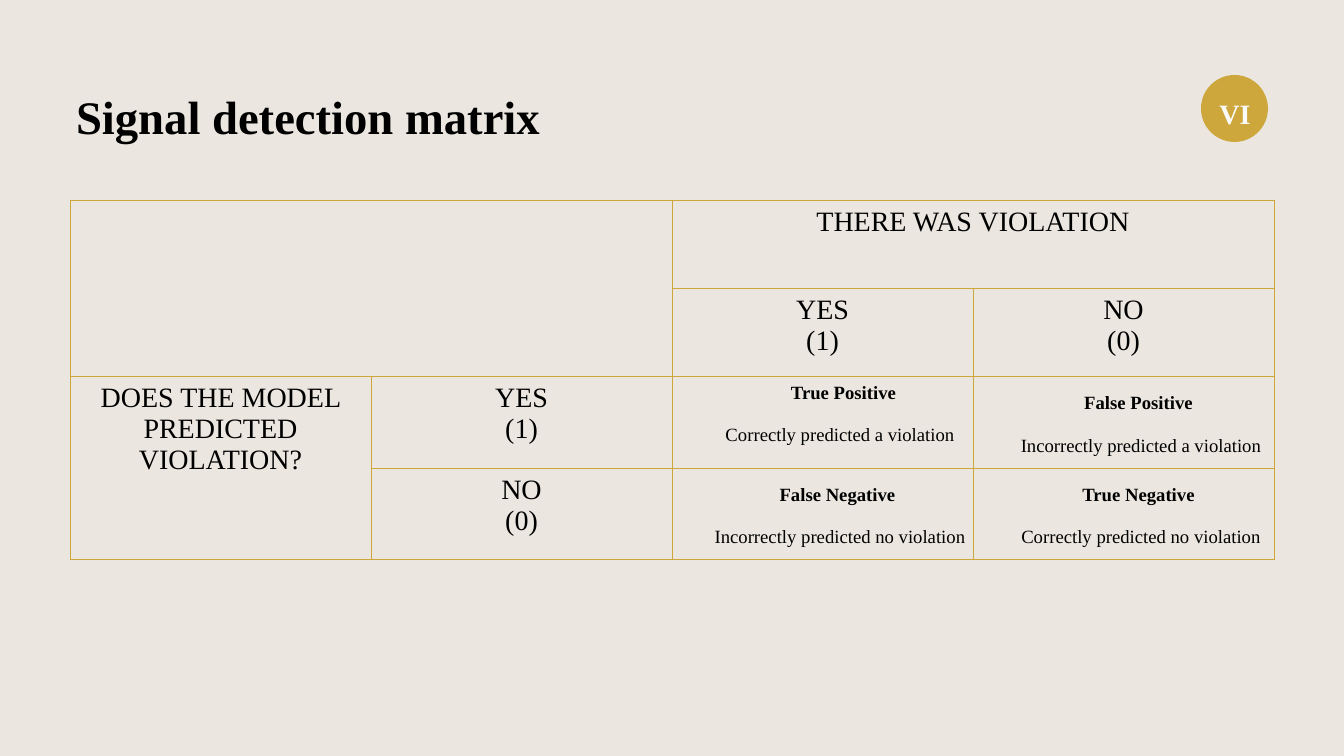
import pptx
import pptx.dml.color
import pptx.enum.shapes
import pptx.enum.text
import pptx.oxml
import pptx.oxml.ns
import pptx.util

PX = 914400 / 67.2
FONT = "Times New Roman"
COLORS = {"paper": "EBE7E0", "gold": "CDA63C", "ink": "000000", "light": "FAFAFA"}
CENTER = pptx.enum.text.PP_ALIGN.CENTER
LEFT = pptx.enum.text.PP_ALIGN.LEFT

COL_W, ROW_H = 301, 88
INDENT = 35
YES, NO = ["YES", "(1)"], ["NO", "(0)"]

# Merged blocks: first and last (row, column)
SPANS = [((0, 0), (1, 1)), ((0, 2), (0, 3)), ((2, 0), (3, 0))]

LABELS = {
    (0, 2): ["THERE WAS VIOLATION"],
    (1, 2): YES,
    (1, 3): NO,
    (2, 0): ["DOES THE MODEL PREDICTED VIOLATION?"],
    (2, 1): YES,
    (3, 1): NO,
}

# Outcome, explanation, line spacing of the outcome, its indent
OUTCOMES = {
    (2, 2): ("True Positive", "Correctly predicted a violation", 1.0, 42),
    (2, 3): ("False Positive", "Incorrectly predicted a violation", 1.5, 30),
    (3, 2): ("False Negative", "Incorrectly predicted no violation", 1.5, 30),
    (3, 3): ("True Negative", "Correctly predicted no violation", 1.5, 30),
}


def px(*lengths):
    return [pptx.util.Emu(round(n * PX)) for n in lengths]


def rgb(name):
    return pptx.dml.color.RGBColor.from_string(COLORS[name])


def set_font(p, size, color="ink", bold=False):
    p.font.name = FONT
    p.font.size = pptx.util.Pt(size)
    p.font.bold = bold
    p.font.color.rgb = rgb(color)


def write_line(tf, text, size, color, align):
    """One bold line in a frame without insets."""
    tf.margin_left = tf.margin_top = tf.margin_right = tf.margin_bottom = 0
    tf.vertical_anchor = pptx.enum.text.MSO_ANCHOR.TOP
    tf.word_wrap = True
    tf.auto_size = pptx.enum.text.MSO_AUTO_SIZE.SHAPE_TO_FIT_TEXT
    p = tf.paragraphs[0]
    p.text = text
    p.alignment = align
    p.line_spacing = 1.1
    set_font(p, size, color, bold=True)


def add_title(slide, text):
    sp = slide.shapes.title
    sp.left, sp.top, sp.width, sp.height = px(76, 82, 787, 56)
    write_line(sp.text_frame, text, 50, "ink", LEFT)


def add_badge(slide, text):
    group = slide.shapes.add_group_shape()
    sp = group.shapes.add_shape(pptx.enum.shapes.MSO_SHAPE.OVAL, *px(1201, 75, 67, 67))
    sp.shadow.inherit = False
    sp.fill.solid()
    sp.fill.fore_color.rgb = rgb("gold")
    sp.line.fill.background()
    box = group.shapes.add_textbox(*px(1215, 93, 40, 34))
    write_line(box.text_frame, text, 30, "light", CENTER)


def style_cell(cell):
    """Gold border on every side, no fill, even insets."""
    tc_pr = cell._tc.get_or_add_tcPr()
    for side in ("lnL", "lnR", "lnT", "lnB"):
        tc_pr.append(pptx.oxml.parse_xml(
            f'<a:{side} {pptx.oxml.ns.nsdecls("a")} w="9525"><a:solidFill>'
            f'<a:srgbClr val="{COLORS["gold"]}"/></a:solidFill></a:{side}>'))
    cell.fill.background()
    inset = pptx.util.Inches(0.1)
    cell.margin_left = cell.margin_top = inset
    cell.margin_right = cell.margin_bottom = inset


def write_label(cell, lines):
    cell.text = "\n".join(lines)
    for p in cell.text_frame.paragraphs:
        p.alignment = CENTER
        set_font(p, 30)


def write_outcome(cell, name, meaning, spacing, indent):
    cell.text = f"{name}\n{meaning}"
    head, body = cell.text_frame.paragraphs
    for p, ind, ls in ((head, indent, spacing), (body, INDENT, 1.5)):
        p.alignment = CENTER
        p._p.get_or_add_pPr().set("marL", str(px(ind)[0]))
        p.line_spacing = ls
        set_font(p, 20, bold=p is head)
    body.space_before = body.space_after = pptx.util.Pt(12)


def add_matrix(slide):
    frame = slide.shapes.add_table(4, 4, *px(70, 200, 4 * COL_W, 4 * ROW_H))
    table = frame.table
    table.first_row = table.horz_banding = False
    for col in table.columns:
        col.width = px(COL_W)[0]
    for row in table.rows:
        row.height = px(ROW_H)[0]
    for cell in table.iter_cells():
        style_cell(cell)
    for first, last in SPANS:
        table.cell(*first).merge(table.cell(*last))
    for place, lines in LABELS.items():
        write_label(table.cell(*place), lines)
    for place, outcome in OUTCOMES.items():
        write_outcome(table.cell(*place), *outcome)


def main():
    prs = pptx.Presentation()
    prs.slide_width, prs.slide_height = px(1344, 756)
    slide = prs.slides.add_slide(prs.slide_layouts[5])
    slide.background.fill.solid()
    slide.background.fill.fore_color.rgb = rgb("paper")

    add_badge(slide, "VI")
    add_title(slide, "Signal detection matrix")
    add_matrix(slide)
    prs.save("out.pptx")


if __name__ == "__main__":
    main()
